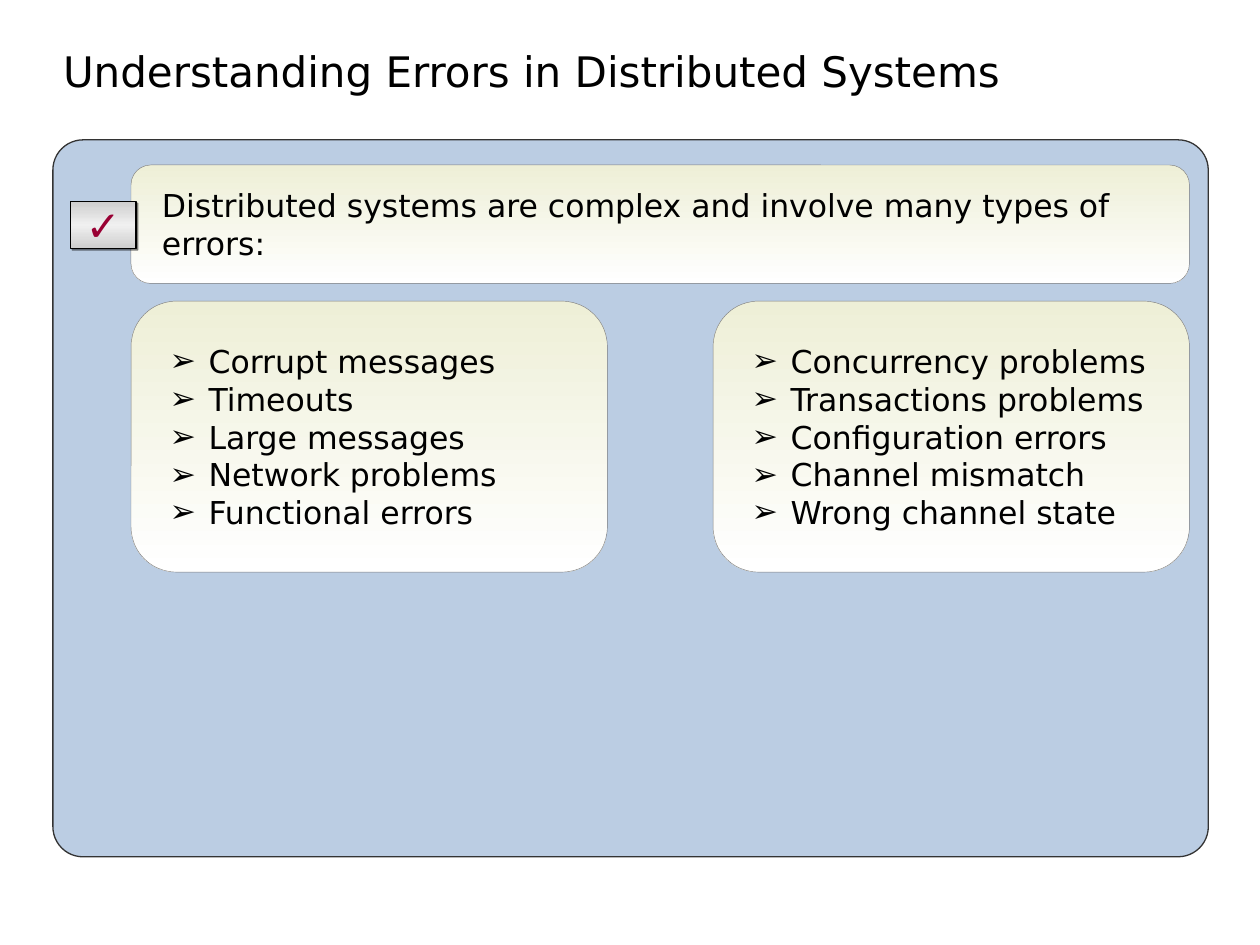
from copy import deepcopy
from dataclasses import dataclass

from lxml.etree import SubElement
from pptx import Presentation
from pptx.dml.color import RGBColor
from pptx.enum.shapes import MSO_SHAPE as Shape
from pptx.enum.text import MSO_ANCHOR as Anchor, MSO_AUTO_SIZE as AutoSize, PP_ALIGN as Align
from pptx.oxml.ns import qn
from pptx.util import Inches, Pt

COLORS = {
    "panel": "BBCDE3",
    "panel_line": "333333",
    "cream": "EEEFD7",
    "white": "FFFFFF",
    "card_line": "808080",
    "silver": "CECECE",
    "shine": "F0F0F0",
    "text": "000000",
    "check": "990033",
}
FONT = "DejaVu Sans"
CARD_FILL = ("cream", "white")
BULLET_INDENT = Inches(0.31)


@dataclass
class Box:
    left: float
    top: float
    width: float
    height: float
    corner: float
    fills: tuple[str, ...]
    line: str
    line_width: float


@dataclass
class Card:
    box: Box
    lines: list[str]
    bulleted: bool


PANEL = Box(0.42, 1.11, 9.17, 5.69, 0.042, ("panel",), "panel_line", 0.75)
BADGE = Box(0.56, 1.6, 0.52, 0.37, 0, ("silver", "shine", "silver"), "text", 0.75)
INTRO = Card(
    Box(1.04, 1.31, 8.4, 0.94, 0.167, CARD_FILL, "card_line", 0.25),
    ["Distributed systems are complex and involve many types of errors:"],
    False,
)
ERROR_CARDS = [
    Card(Box(left, 2.39, 3.78, 2.15, 0.167, CARD_FILL, "card_line", 0.25), lines, True)
    for left, lines in (
        (1.04, ["Corrupt messages", "Timeouts", "Large messages",
                "Network problems", "Functional errors"]),
        (5.66, ["Concurrency problems", "Transactions problems", "Configuration errors",
                "Channel mismatch", "Wrong channel state"]),
    )
]


def color(name: str) -> RGBColor:
    return RGBColor.from_string(COLORS[name])


def style_font(font, size: float, name: str = FONT, ink: str = "text", bold: bool = False) -> None:
    font.size = Pt(size)
    font.name = name
    font.bold = bold
    font.color.rgb = color(ink)


def fill_gradient(fill, names: tuple[str, ...]) -> None:
    fill.gradient()
    fill.gradient_angle = 270
    for stop, name, position in zip(fill.gradient_stops, (names[0], names[-1]), (0, 1)):
        stop.color.rgb = color(name)
        stop.position = position
    if len(names) == 3:
        first = fill.gradient_stops[0]._gs
        middle = deepcopy(first)
        middle.set("pos", "50000")
        middle.find(qn("a:srgbClr")).set("val", COLORS[names[1]])
        first.addnext(middle)


def draw_box(slide, box: Box):
    shape = slide.shapes.add_shape(
        Shape.ROUNDED_RECTANGLE,
        Inches(box.left), Inches(box.top), Inches(box.width), Inches(box.height),
    )
    shape.shadow.inherit = False
    shape.adjustments[0] = box.corner
    if len(box.fills) == 1:
        shape.fill.solid()
        shape.fill.fore_color.rgb = color(box.fills[0])
    else:
        fill_gradient(shape.fill, box.fills)
    shape.line.color.rgb = color(box.line)
    shape.line.width = Pt(box.line_width)
    return shape


def add_bullet(para) -> None:
    properties = para._p.get_or_add_pPr()
    properties.set("marL", str(BULLET_INDENT))
    properties.set("indent", str(-BULLET_INDENT))
    bullet_color = SubElement(properties, qn("a:buClr"))
    SubElement(bullet_color, qn("a:srgbClr"), val=COLORS["text"])
    SubElement(properties, qn("a:buFont"), typeface=FONT)
    SubElement(properties, qn("a:buChar"), char="➢")


def draw_card(slide, card: Card) -> None:
    frame = draw_box(slide, card.box).text_frame
    frame.word_wrap = True
    frame.vertical_anchor = Anchor.MIDDLE
    frame.margin_left = frame.margin_right = Inches(0.2)
    frame.text = "\n".join(card.lines)
    for para in frame.paragraphs:
        para.alignment = Align.LEFT
        if card.bulleted:
            add_bullet(para)
        style_font(para.runs[0].font, 18)


def draw_badge(slide) -> None:
    badge = draw_box(slide, BADGE)
    effects = badge._element.spPr.find(qn("a:effectLst"))
    shadow = SubElement(effects, qn("a:outerShdw"), dist=str(Pt(1.4)), dir="2700000")
    shadow_color = SubElement(shadow, qn("a:srgbClr"), val=COLORS["text"])
    SubElement(shadow_color, qn("a:alpha"), val="50000")
    frame = badge.text_frame
    frame.word_wrap = False
    frame.vertical_anchor = Anchor.MIDDLE
    frame.text = "✓"
    para = frame.paragraphs[0]
    para.alignment = Align.CENTER
    style_font(para.runs[0].font, 24, "Arial", "check", True)


def set_title(slide) -> None:
    title = slide.shapes.title
    title.left, title.top = Inches(0.5), Inches(0)
    title.width, title.height = Inches(8.5), Inches(0.81)
    frame = title.text_frame
    frame.auto_size = AutoSize.NONE
    frame.word_wrap = True
    frame.vertical_anchor = Anchor.BOTTOM
    frame.margin_left = 0
    frame.text = "Understanding Errors in Distributed Systems"
    para = frame.paragraphs[0]
    para.alignment = Align.LEFT
    para.line_spacing = 0.85
    style_font(para.runs[0].font, 24)


def main() -> None:
    deck = Presentation()
    deck.slide_width, deck.slide_height = Inches(10), Inches(7.5)
    slide = deck.slides.add_slide(deck.slide_layouts[5])
    set_title(slide)
    draw_box(slide, PANEL)
    draw_card(slide, INTRO)
    draw_badge(slide)
    for card in ERROR_CARDS:
        draw_card(slide, card)
    deck.save("out.pptx")


if __name__ == "__main__":
    main()
